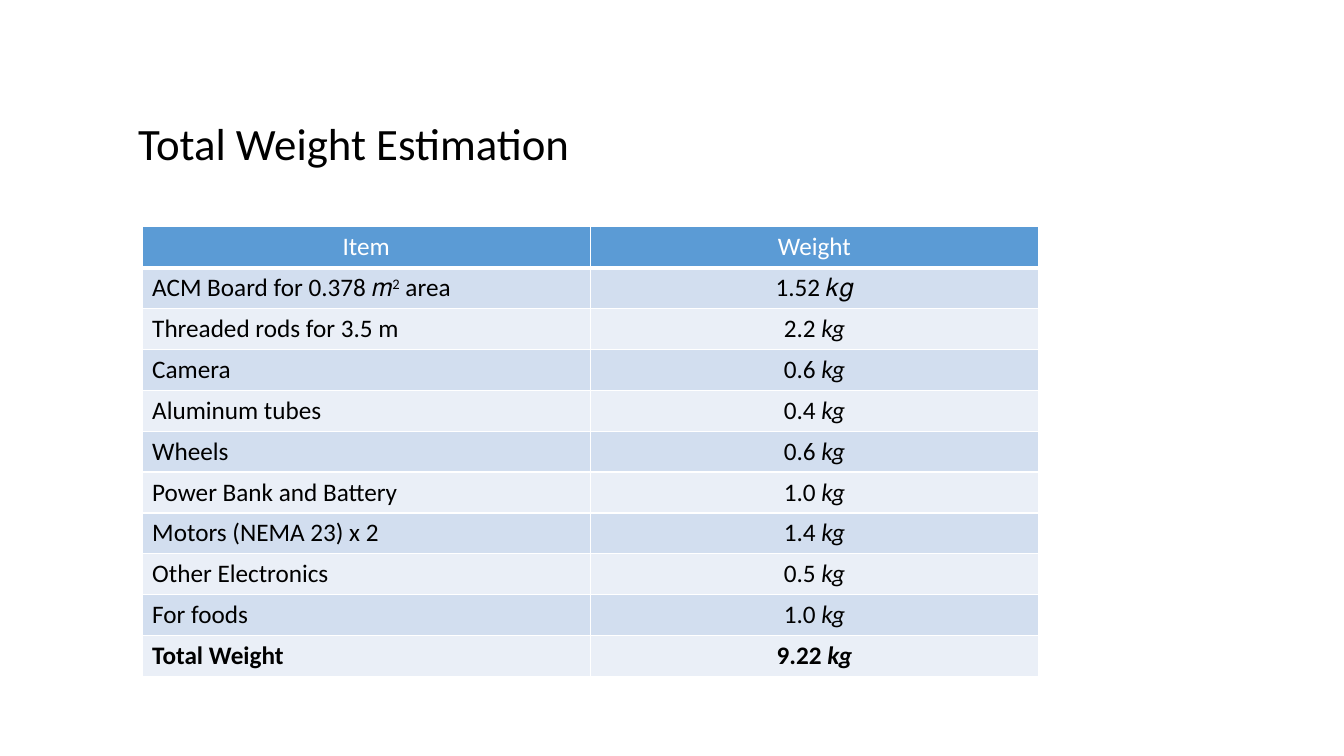
from lxml import etree
from pptx import Presentation, util as u
from pptx.dml.color import RGBColor
from pptx.enum import text
from pptx.oxml import ns

SCALE = 9144  # EMU per px, 100 px to the inch
FONT = "Calibri"
WHITE, BLACK = "FFFFFF", "000000"
HEADER_FILL, BAND_FILLS = "5B9BD5", ("D2DEEF", "EAEFF7")
LEFT, CENTER = text.PP_ALIGN.LEFT, text.PP_ALIGN.CENTER
ITALIC = {"italic": True}

# Item runs and weight runs; a run is (text, format)
ROWS = [
    ([("ACM Board for 0.378 𝑚", {}), ("2", {"baseline": 30}), (" area", {})],
     [("1.52 𝑘𝑔", {})]),
] + [
    ([(item, {})], [(weight + " ", {}), ("kg", ITALIC)])
    for item, weight in (
        ("Threaded rods for 3.5 m", "2.2"),
        ("Camera", "0.6"),
        ("Aluminum tubes", "0.4"),
        ("Wheels", "0.6"),
        ("Power Bank and Battery", "1.0"),
        ("Motors (NEMA 23) x 2", "1.4"),
        ("Other Electronics", "0.5"),
        ("For foods", "1.0"),
        ("Total Weight", "9.22"),
    )
]


def px(n):
    return u.Emu(n * SCALE)


def rgb(color):
    return RGBColor.from_string(color)


def set_attrs(obj, values):
    for name, value in values.items():
        setattr(obj, name, value)


def add_run(p, words, size, color, baseline=0, **fmt):
    r = p.add_run()
    r.text = words
    set_attrs(r.font, {"name": FONT, "size": u.Pt(size), **fmt})
    r.font.color.rgb = rgb(color)
    if baseline:
        r.font._element.set("baseline", str(baseline * 1000))


def set_borders(cell, bottom=1):
    tc_pr = cell._tc.get_or_add_tcPr()
    for side, width in (("L", 1), ("R", 1), ("T", 1), ("B", bottom)):
        ln = etree.SubElement(tc_pr, ns.qn("a:ln" + side), w=str(u.Pt(width)))
        fill = etree.SubElement(ln, ns.qn("a:solidFill"))
        etree.SubElement(fill, ns.qn("a:srgbClr"), val=WHITE)


def fill_cell(cell, runs, fill, color=BLACK, align=CENTER, bottom=1, bold=False):
    set_borders(cell, bottom)
    cell.fill.solid()
    cell.fill.fore_color.rgb = rgb(fill)
    p = cell.text_frame.paragraphs[0]
    p.alignment = align
    for words, fmt in runs:
        add_run(p, words, 18, color, bold=bold, **fmt)


def add_title(slide, words):
    sp = slide.shapes.title
    set_attrs(sp, {"left": px(127), "top": px(113),
                   "width": px(902), "height": px(112)})
    tf = sp.text_frame
    set_attrs(tf, {"word_wrap": True, "auto_size": text.MSO_AUTO_SIZE.NONE,
                   "vertical_anchor": text.MSO_ANCHOR.BOTTOM,
                   "margin_bottom": px(56)})
    p = tf.paragraphs[0]
    set_attrs(p, {"alignment": LEFT, "line_spacing": 0.9})
    add_run(p, words, 32, BLACK)


def add_weight_table(slide):
    table = slide.shapes.add_table(len(ROWS) + 1, 2, px(141), px(225),
                                   px(889), px(446)).table
    # Header
    for col, heading in enumerate(("Item", "Weight")):
        fill_cell(table.cell(0, col), [(heading, {})], HEADER_FILL, WHITE, bottom=3)
    # Banded rows, with the total in bold
    for i, row in enumerate(ROWS):
        for col, (runs, align) in enumerate(zip(row, (LEFT, CENTER))):
            fill_cell(table.cell(i + 1, col), runs, BAND_FILLS[i % 2],
                      align=align, bold=i == len(ROWS) - 1)


def main():
    prs = Presentation()
    set_attrs(prs, {"slide_width": px(1333), "slide_height": px(750)})
    slide = prs.slides.add_slide(prs.slide_layouts[5])
    add_title(slide, "Total Weight Estimation")
    add_weight_table(slide)
    prs.save("out.pptx")


if __name__ == "__main__":
    main()
